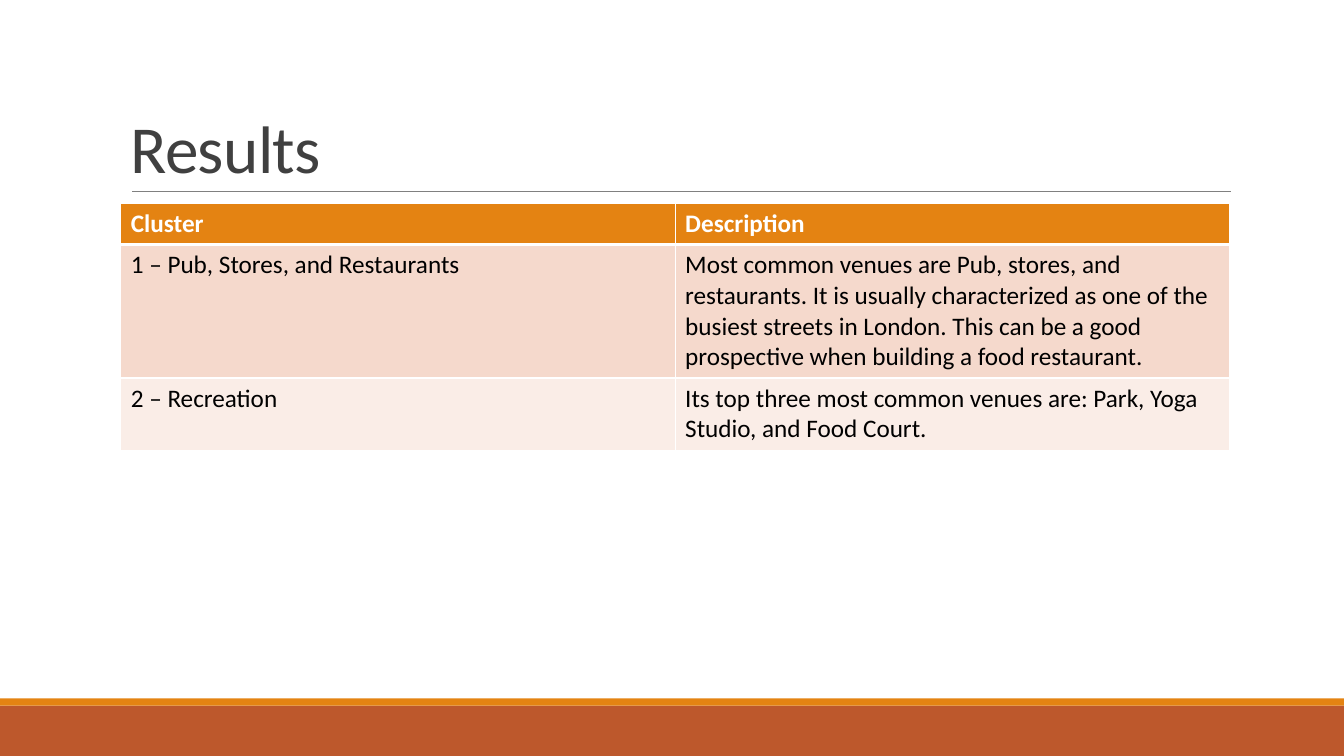
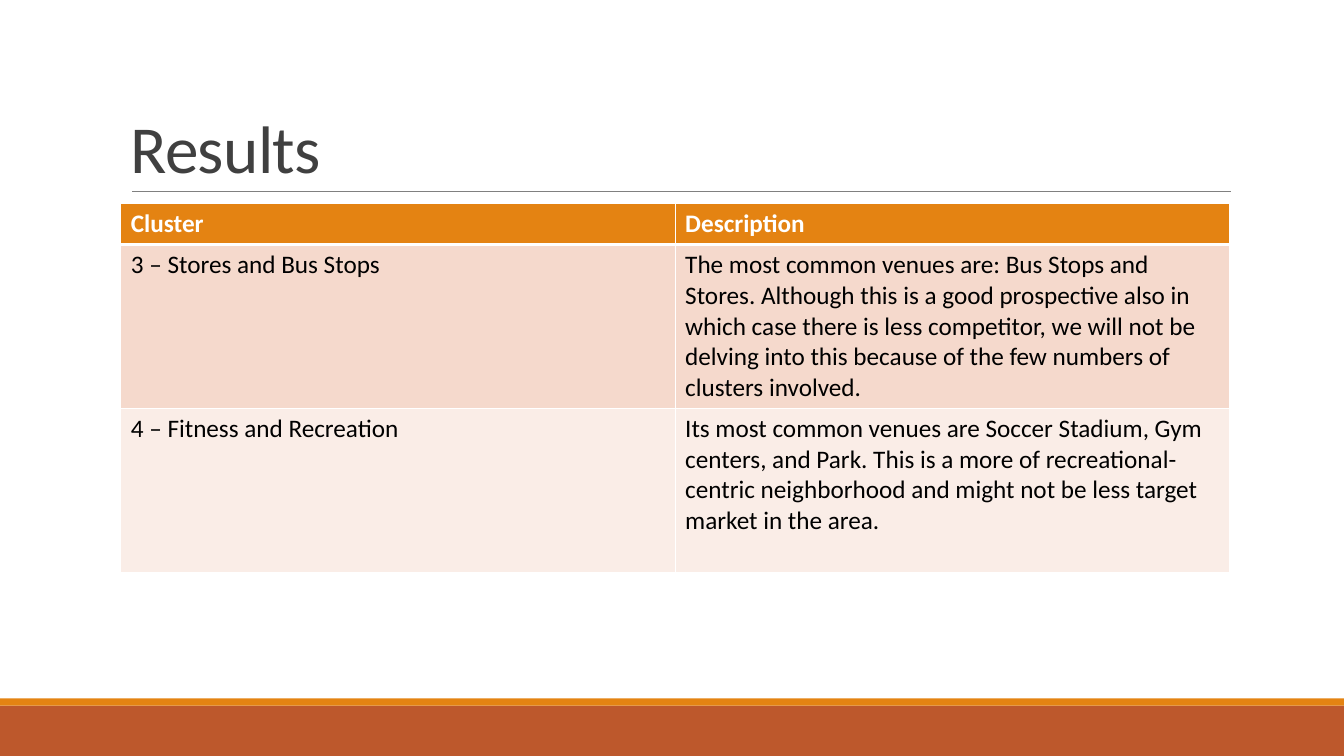
from lxml import etree
from pptx import Presentation
from pptx import util as u
from pptx.dml.color import RGBColor
from pptx.enum import shapes, text
from pptx.oxml.ns import qn

PX = 9525
WIDE, HIGH = 1280, 720
FONT = "Calibri"
RUST, AMBER, GRAY, DARK = "BD582C", "E48312", "808080", "404040"
WHITE, BLACK = "FFFFFF", "000000"
FILLS = [AMBER, "F5D9CC", "FAEDE7"]
HEAD = ("Cluster", "Description")

PAGES = [
    ([39, 127, 69], [
        ("1 – Pub, Stores, and Restaurants",
         "Most common venues are Pub, stores, and restaurants. It is usually "
         "characterized as one of the busiest streets in London. This can be "
         "a good prospective when building a food restaurant."),
        ("2 – Recreation",
         "Its top three most common venues are: Park, Yoga Studio, and Food Court."),
    ]),
    ([39, 156, 156], [
        ("3 – Stores and Bus Stops",
         "The most common venues are: Bus Stops and Stores. Although this is a "
         "good prospective also in which case there is less competitor, we will "
         "not be delving into this because of the few numbers of clusters involved."),
        ("4 – Fitness and Recreation",
         "Its most common venues are Soccer Stadium, Gym centers, and Park. This "
         "is a more of recreational-centric neighborhood and might not be less "
         "target market in the area."),
    ]),
]


def rgb(code):
    return RGBColor.from_string(code)


def put(frame, words, size=18, color=BLACK, bold=False, lead=None, track=0):
    frame.word_wrap = True
    para = frame.paragraphs[0]
    para.line_spacing = lead
    run = para.add_run()
    run.text = words
    font = run.font
    font.name, font.size, font.bold = FONT, u.Pt(size), bold
    font.color.rgb = rgb(color)
    if track:
        font._element.set("spc", str(track))


deck = Presentation()
deck.slide_width, deck.slide_height = WIDE * PX, HIGH * PX

for highs, body in PAGES:
    slide = deck.slides.add_slide(deck.slide_layouts[6])
    parts = slide.shapes

    for top, high, color in [(672, 48, RUST), (665, 7, AMBER)]:
        band = parts.add_shape(shapes.MSO_SHAPE.RECTANGLE, 0, top * PX, WIDE * PX, high * PX)
        band.shadow.inherit = False
        band.fill.solid()
        band.fill.fore_color.rgb = rgb(color)
        band.line.fill.background()

    rule = parts.add_connector(shapes.MSO_CONNECTOR.STRAIGHT, 126 * PX, 182 * PX, 1172 * PX, 182 * PX)
    rule.line.color.rgb = rgb(GRAY)
    rule.line.width = u.Pt(0.5)
    etree.SubElement(rule._element.spPr, qn("a:effectLst"))

    title = parts.add_textbox(115 * PX, 30 * PX, 1056 * PX, 153 * PX).text_frame
    title.vertical_anchor = text.MSO_ANCHOR.BOTTOM
    put(title, "Results", size=48, color=DARK, lead=0.85, track=-50)

    rows = [HEAD] + body
    table = parts.add_table(len(rows), len(HEAD), 115 * PX, 194 * PX, 1056 * PX, sum(highs) * PX).table
    for r, row in enumerate(rows):
        table.rows[r].height = highs[r] * PX
        for c, words in enumerate(row):
            cell = table.cell(r, c)
            put(cell.text_frame, words, color=BLACK if r else WHITE, bold=r == 0)
            cell.fill.solid()
            cell.fill.fore_color.rgb = rgb(FILLS[r])
            props = cell._tc.get_or_add_tcPr()
            for i, side in enumerate("LRTB"):
                thick = (r, side) in [(0, "B"), (1, "T")]
                edge = etree.Element(qn("a:ln" + side), w=str(u.Pt(3 if thick else 1)))
                paint = etree.SubElement(edge, qn("a:solidFill"))
                etree.SubElement(paint, qn("a:srgbClr"), val=WHITE)
                props.insert(i, edge)

deck.save("out.pptx")
